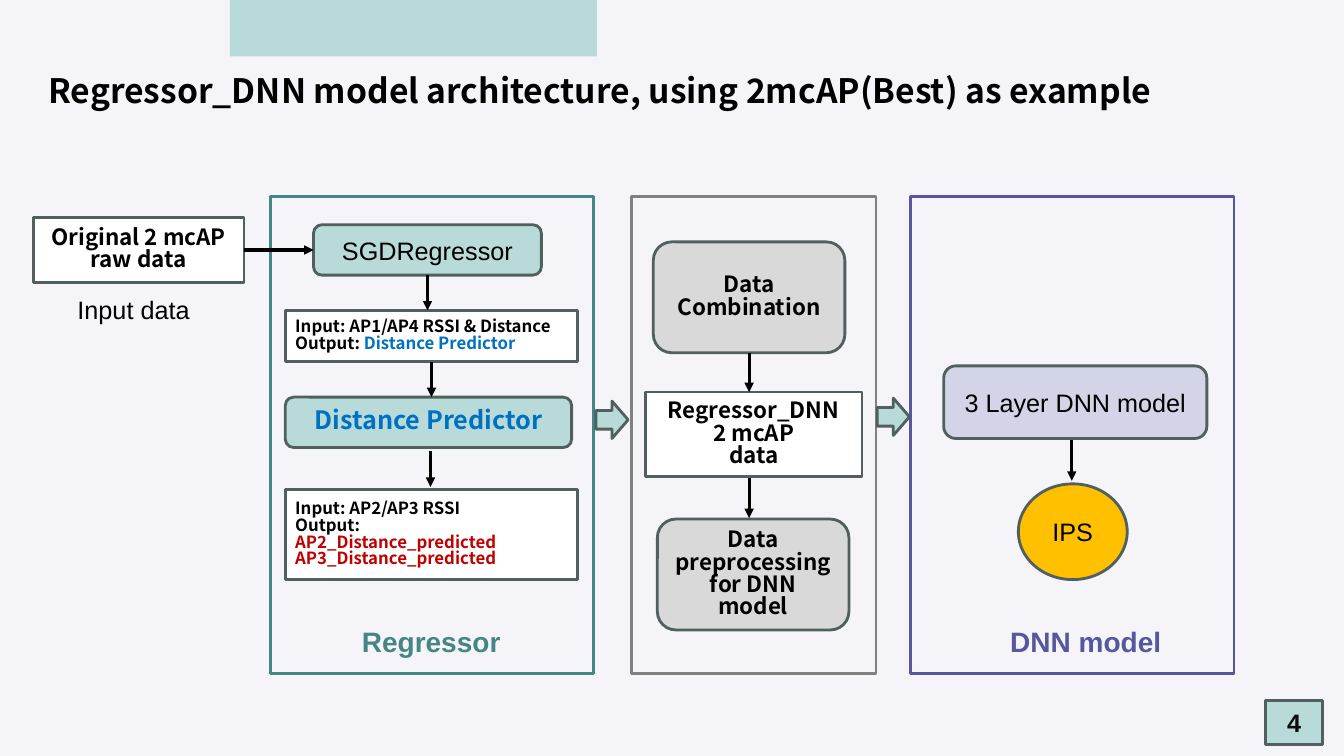
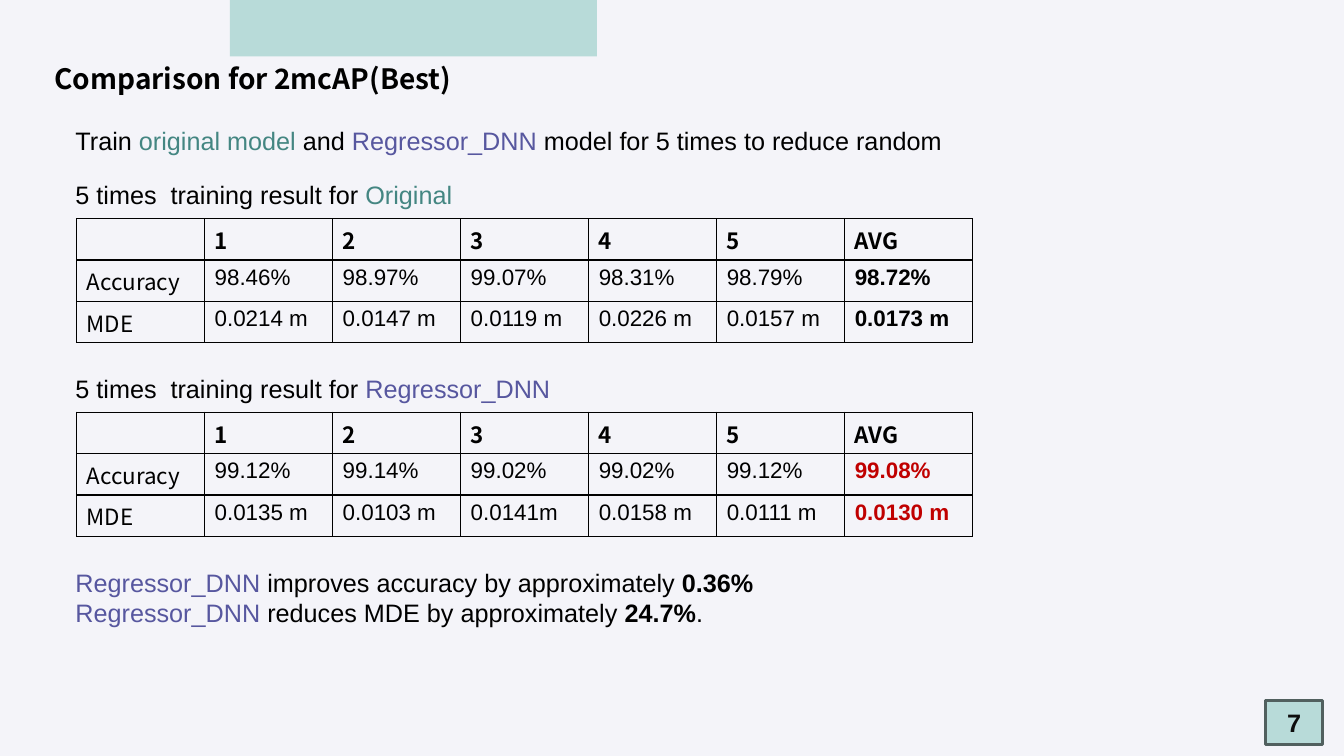
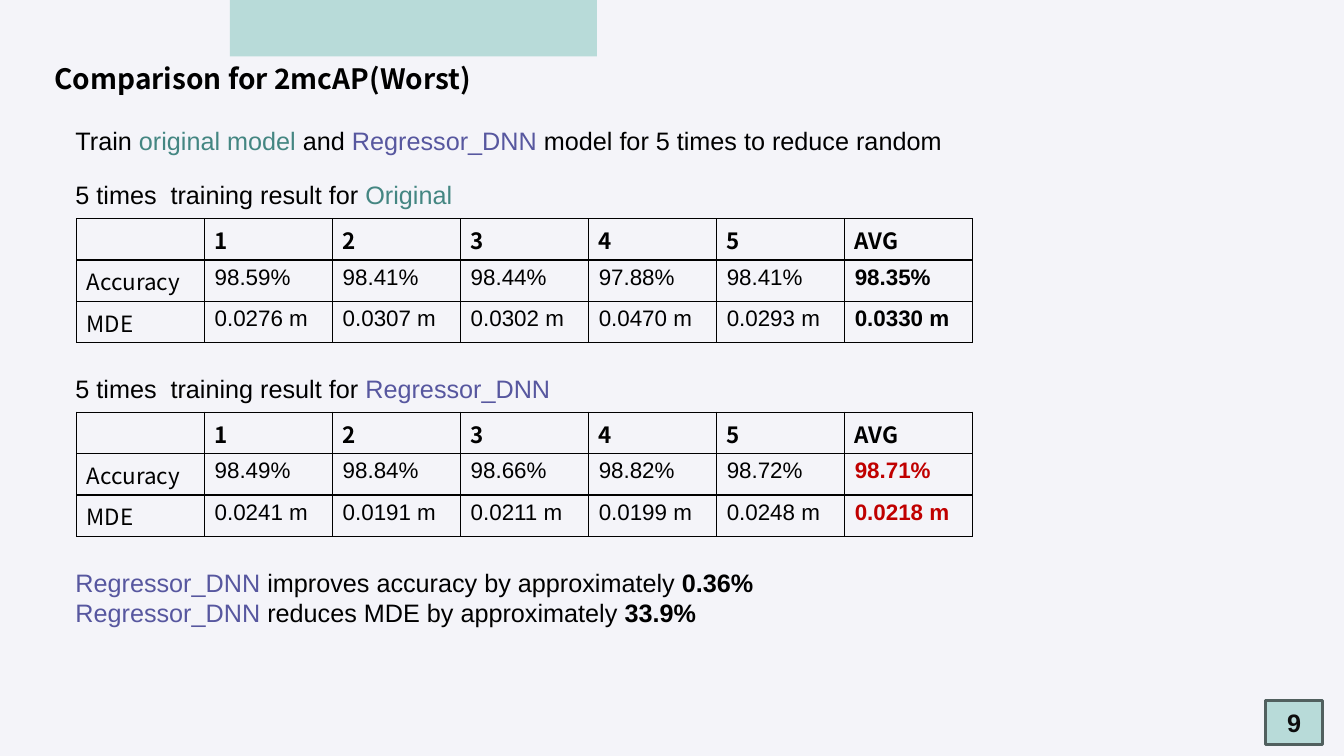
from lxml import etree
from pptx import Presentation
from pptx.dml.color import RGBColor
from pptx.enum.shapes import MSO_CONNECTOR, MSO_SHAPE
from pptx.enum.text import MSO_ANCHOR, MSO_AUTO_SIZE, PP_ALIGN
from pptx.oxml.ns import qn
from pptx.util import Inches, Pt

RECT, ROUNDED = MSO_SHAPE.RECTANGLE, MSO_SHAPE.ROUNDED_RECTANGLE
ELLIPSE, BLOCK_ARROW = MSO_SHAPE.OVAL, MSO_SHAPE.RIGHT_ARROW
STRAIGHT = MSO_CONNECTOR.STRAIGHT
LEFT, CENTER = PP_ALIGN.LEFT, PP_ALIGN.CENTER
TOP, MIDDLE = MSO_ANCHOR.TOP, MSO_ANCHOR.MIDDLE
SIDE_LEFT, SIDE_BOTTOM, SIDE_RIGHT = 1, 2, 3
TITLE_ONLY = 5

SANS, CJK = "Arial", "Noto Sans CJK SC"
BLACK, WHITE, INK = "000000", "FFFFFF", "0D0D0D"
PAPER, MINT, OUTLINE = "F4F4F9", "B8DBD9", "51605F"
TEAL, VIOLET, LAVENDER = "448682", "57579F", "D4D4E8"
GREY, SILVER, AMBER = "808080", "D9D9D9", "FFC000"
BLUE, RED = "0070C0", "C00000"

PLAIN = {"name": SANS, "size": 18, "bold": False, "color": BLACK}
STRONG = {"bold": True}
BOX_LABEL = {"name": CJK, "size": 16, "bold": True}
SMALL_LABEL = {**BOX_LABEL, "size": 12}
TIGHT = 0.83


def rgb(value):
    return RGBColor.from_string(value)


def box(left, top, width, height):
    return [Inches(value) for value in (left, top, width, height)]


def write(frame, paragraphs, style=None, align=LEFT, anchor=TOP, spacing=1.0):
    """Fill a frame; a paragraph is a string or a list of (text, format) runs."""
    frame.word_wrap = True
    frame.vertical_anchor = anchor
    for index, runs in enumerate(paragraphs):
        paragraph = frame.paragraphs[0] if index == 0 else frame.add_paragraph()
        paragraph.alignment = align
        paragraph.line_spacing = spacing
        for text, change in [(runs, {})] if isinstance(runs, str) else runs:
            run = paragraph.add_run()
            run.text = text
            look = {**PLAIN, **(style or {}), **change}
            look["size"] = Pt(look["size"])
            run.font.color.rgb = rgb(look.pop("color"))
            for attribute, value in look.items():
                setattr(run.font, attribute, value)


def add_text(slide, place, paragraphs, style=None):
    write(slide.shapes.add_textbox(*box(*place)).text_frame, paragraphs, style)


def add_block(slide, kind, place, fill=None, line=OUTLINE, paragraphs=(), **text):
    block = slide.shapes.add_shape(kind, *box(*place))
    block.shadow.inherit = False
    if fill:
        block.fill.solid()
        block.fill.fore_color.rgb = rgb(fill)
    else:
        block.fill.background()
    if line:
        block.line.color.rgb = rgb(line)
        block.line.width = Pt(2)
    else:
        block.line.fill.background()
    if paragraphs:
        write(block.text_frame, paragraphs,
              **{"align": CENTER, "anchor": MIDDLE, **text})
    return block


def add_arrow(slide, begin, end, source=None, target=None):
    """Draw an arrow between points; source and target are (shape, side) joins."""
    points = [Inches(value) for value in (*begin, *end)]
    arrow = slide.shapes.add_connector(STRAIGHT, *points)
    arrow.line.color.rgb = rgb(BLACK)
    arrow.line.width = Pt(2.25)
    etree.SubElement(arrow.line._get_or_add_ln(), qn("a:tailEnd"), type="triangle")
    etree.SubElement(arrow._element.spPr, qn("a:effectLst"))
    if source:
        arrow.begin_connect(*source)
    if target:
        arrow.end_connect(*target)


def add_borders(cell):
    properties = cell._tc.get_or_add_tcPr()
    for side in ("lnL", "lnR", "lnT", "lnB"):
        border = etree.SubElement(properties, qn(f"a:{side}"), w=str(Pt(1)))
        fill = etree.SubElement(border, qn("a:solidFill"))
        etree.SubElement(fill, qn("a:srgbClr"), val=BLACK)


def add_results(slide, top, accuracy, mde, average_color):
    rows = [["", "1", "2", "3", "4", "5", "AVG"],
            ["Accuracy", *accuracy], ["MDE", *mde]]
    column_count = len(rows[0])
    table = slide.shapes.add_table(
        len(rows), column_count, *box(0.76, top, 8.89, 1.22)).table
    table.first_row = table.horz_banding = False
    for column in table.columns:
        column.width = Inches(1.27)
    for r, values in enumerate(rows):
        table.rows[r].height = Inches(0.41)
        for c, value in enumerate(values):
            cell = table.cell(r, c)
            add_borders(cell)
            cell.fill.background()
            cell.margin_bottom = Inches(0.03)
            is_average = c == column_count - 1
            style = {"name": CJK if r == 0 or c == 0 else SANS, "size": 16,
                     "bold": r == 0 or is_average,
                     "color": average_color if r and is_average else BLACK}
            if value:
                write(cell.text_frame, [value], style)


def start_slide(deck, number, title, place, size):
    slide = deck.slides.add_slide(deck.slide_layouts[TITLE_ONLY])
    add_block(slide, RECT, (2.28, 0, 3.64, 0.56), MINT, None)
    add_block(slide, RECT, (12.55, 6.95, 0.57, 0.44), MINT, paragraphs=[number],
              style={"bold": True, "color": INK})
    heading = slide.shapes.title
    heading.left, heading.top, heading.width, heading.height = box(*place)
    heading.text_frame.auto_size = MSO_AUTO_SIZE.NONE
    write(heading.text_frame, [title], {**BOX_LABEL, "size": size}, spacing=0.9)
    return slide


def build_architecture(deck):
    slide = start_slide(
        deck, "4", "Regressor_DNN model architecture, using 2mcAP(Best) as example",
        (0.38, 0.69, 12.9, 0.5), 24)
    for left, width, color in ((2.68, 3.21, TEAL), (6.26, 2.43, GREY),
                               (9.03, 3.21, VIOLET)):
        add_block(slide, RECT, (left, 1.95, width, 4.73), line=color)
    for left, top in ((5.91, 3.98), (8.7, 3.95)):
        add_block(slide, BLOCK_ARROW, (left, top, 0.32, 0.37), MINT)
    for left, width, label, color in ((3.49, 1.58, "Regressor", TEAL),
                                      (9.92, 1.85, "DNN model", VIOLET)):
        add_text(slide, (left, 6.15, width, 0.44), [label],
                 {"size": 20, "bold": True, "color": color})
    add_text(slide, (0.67, 2.87, 1.59, 0.4), ["Input data"])

    centred = {"style": BOX_LABEL, "spacing": TIGHT}
    listed = {"style": SMALL_LABEL, "spacing": TIGHT, "align": LEFT}
    raw_data = add_block(slide, RECT, (0.33, 2.16, 2.09, 0.64), WHITE,
                         paragraphs=["Original 2 mcAP", "raw data"], **centred)
    regressor = add_block(slide, ROUNDED, (3.11, 2.23, 2.26, 0.5), MINT,
                          paragraphs=["SGDRegressor"])
    training = add_block(
        slide, RECT, (2.83, 3.08, 2.9, 0.51), WHITE,
        paragraphs=["Input: AP1/AP4 RSSI & Distance",
                    [("Output: ", {}), ("Distance Predictor", {"color": BLUE})]],
        **listed)
    add_block(slide, ROUNDED, (2.83, 3.94, 2.84, 0.5), MINT,
              paragraphs=["Distance Predictor"], spacing=TIGHT,
              style={**BOX_LABEL, "size": 18, "color": BLUE})
    add_block(
        slide, RECT, (2.83, 4.86, 2.9, 0.89), WHITE,
        paragraphs=["Input: AP2/AP3 RSSI", "Output:",
                    [("AP2_Distance_predicted AP3_Distance_predicted",
                      {"color": RED})]],
        **listed)
    combination = add_block(slide, ROUNDED, (6.48, 2.4, 1.9, 1.1), SILVER,
                            paragraphs=["Data Combination"], **centred)
    add_block(slide, RECT, (6.4, 3.89, 2.15, 0.84), WHITE,
              paragraphs=["Regressor_DNN", "2 mcAP", "data"], **centred)
    add_block(slide, ROUNDED, (6.52, 5.15, 1.9, 1.1), SILVER,
              paragraphs=["Data preprocessing for DNN model"], **centred)
    add_block(slide, ROUNDED, (9.36, 3.63, 2.61, 0.72), LAVENDER,
              paragraphs=["3 Layer DNN model"])
    add_block(slide, ELLIPSE, (10.1, 4.8, 1.08, 0.95), AMBER, paragraphs=["IPS"])

    add_arrow(slide, (2.42, 2.48), (3.11, 2.48),
              (raw_data, SIDE_RIGHT), (regressor, SIDE_LEFT))
    for x, top, bottom, source in ((4.24, 2.73, 3.08, regressor),
                                   (4.28, 3.59, 3.94, training),
                                   (4.27, 4.47, 4.83, None),
                                   (7.43, 3.5, 3.89, combination),
                                   (7.43, 4.74, 5.14, None),
                                   (10.63, 4.37, 4.77, None)):
        add_arrow(slide, (x, top), (x, bottom), source and (source, SIDE_BOTTOM))


def build_comparison(deck, number, case, original, improved, conclusion):
    """Add a comparison; original and improved are (accuracy, MDE) value lists."""
    slide = start_slide(deck, number, f"Comparison for 2mcAP({case})",
                        (0.44, 0.6, 12.2, 0.44), 20)
    teal, violet = {"color": TEAL}, {"color": VIOLET}
    add_text(slide, (0.65, 1.19, 10.01, 0.4), [[
        ("Train ", {}), ("original model ", teal), ("and ", {}),
        ("Regressor_DNN", violet),
        (" model for 5 times to reduce random", {})]])
    for top, model, color, results, average_color in (
            (1.73, "Original", teal, original, BLACK),
            (3.65, "Regressor_DNN", violet, improved, RED)):
        add_text(slide, (0.65, top, 5.8, 0.4),
                 [[("5 times  training result for ", {}), (model, color)]])
        add_results(slide, top + 0.44, *results, average_color)
    accuracy_gain, mde_cut, ending = conclusion
    add_text(slide, (0.65, 5.58, 7.24, 0.71), [
        [("Regressor_DNN ", violet), ("improves accuracy by approximately ", {}),
         (accuracy_gain, STRONG)],
        [("Regressor_DNN ", violet), ("reduces MDE by approximately ", {}),
         (mde_cut, STRONG)] + ([(ending, {})] if ending else [])])


def main():
    deck = Presentation()
    deck.slide_width, deck.slide_height = Inches(13.33), Inches(7.5)
    backdrop = deck.slide_master.background.fill
    backdrop.solid()
    backdrop.fore_color.rgb = rgb(PAPER)

    build_architecture(deck)
    build_comparison(
        deck, "7", "Best",
        (["98.46%", "98.97%", "99.07%", "98.31%", "98.79%", "98.72%"],
         ["0.0214 m", "0.0147 m", "0.0119 m", "0.0226 m", "0.0157 m", "0.0173 m"]),
        (["99.12%", "99.14%", "99.02%", "99.02%", "99.12%", "99.08%"],
         ["0.0135 m", "0.0103 m", "0.0141m", "0.0158 m", "0.0111 m", "0.0130 m"]),
        ("0.36%", "24.7%", "."))
    build_comparison(
        deck, "9", "Worst",
        (["98.59%", "98.41%", "98.44%", "97.88%", "98.41%", "98.35%"],
         ["0.0276 m", "0.0307 m", "0.0302 m", "0.0470 m", "0.0293 m", "0.0330 m"]),
        (["98.49%", "98.84%", "98.66%", "98.82%", "98.72%", "98.71%"],
         ["0.0241 m", "0.0191 m", "0.0211 m", "0.0199 m", "0.0248 m", "0.0218 m"]),
        ("0.36%", "33.9%", ""))
    deck.save("out.pptx")


if __name__ == "__main__":
    main()
